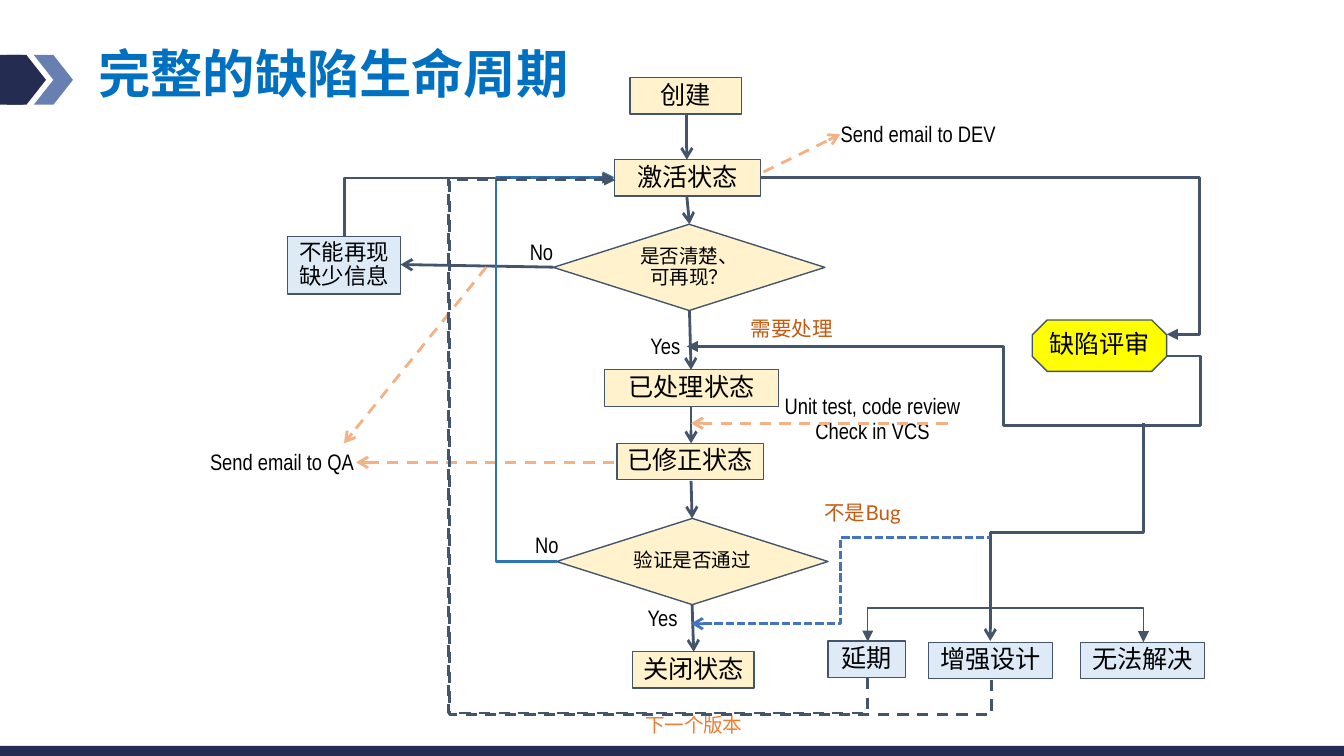
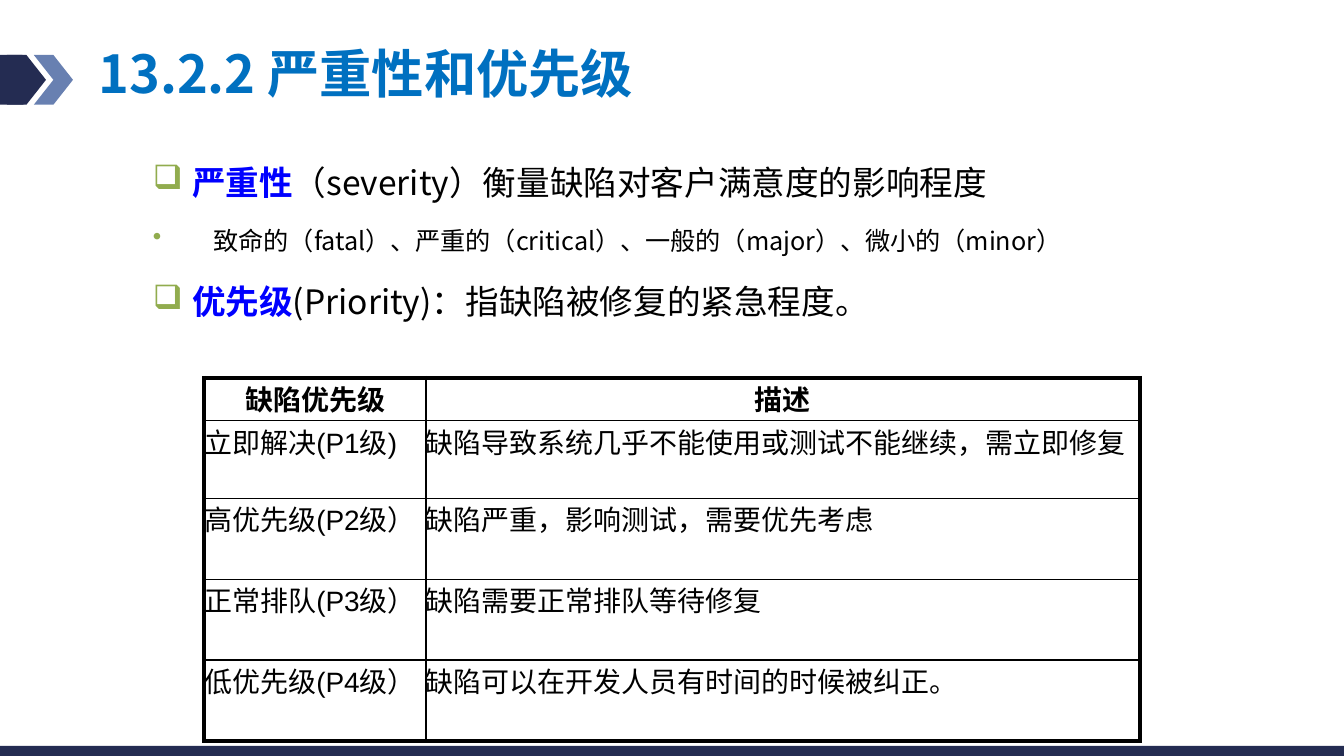
from lxml import etree
from pptx import Presentation
from pptx.dml.color import RGBColor
from pptx.enum.dml import MSO_LINE
from pptx.enum.shapes import MSO_CONNECTOR, MSO_SHAPE
from pptx.enum.text import MSO_ANCHOR, MSO_AUTO_SIZE, PP_ALIGN
from pptx.oxml.ns import qn
from pptx.util import Cm, Pt

RECTANGLE, ROUNDED = MSO_SHAPE.RECTANGLE, MSO_SHAPE.ROUNDED_RECTANGLE
CHEVRON, DIAMOND, OCTAGON = MSO_SHAPE.CHEVRON, MSO_SHAPE.DIAMOND, MSO_SHAPE.OCTAGON
STRAIGHT, ELBOW = MSO_CONNECTOR.STRAIGHT, MSO_CONNECTOR.ELBOW
DASH, SHORT_DASH = MSO_LINE.DASH, MSO_LINE.SQUARE_DOT
LEFT, CENTER = PP_ALIGN.LEFT, PP_ALIGN.CENTER
MIDDLE = MSO_ANCHOR.MIDDLE
NO_RESIZE = MSO_AUTO_SIZE.NONE

COLORS = {
    "navy": "242C52", "steel": "6880B1", "title": "0070C0", "cream": "FFF2CC",
    "ice": "DEEBF7", "yellow": "FFFF00", "slate": "44546A", "peach": "F4B183",
    "blue": "2E75B6", "royal": "4472C4", "rust": "C55A11", "orange": "ED7D31",
    "black": "000000", "keyword": "0000FF", "bullet": "91AC4E",
}
COLORS_RGB = {name: RGBColor.from_string(value) for name, value in COLORS.items()}
HAN = "Noto Sans CJK SC"


def format_span(span, size, font, color, bold=False):
    span.font.size = Pt(size)
    span.font.name = font
    span.font.bold = bold
    span.font.color.rgb = COLORS_RGB[color]
    properties = span.font._element
    east_asian = etree.Element(qn("a:ea"), typeface=HAN)
    properties.find(qn("a:latin")).addnext(east_asian)


def format_line(connector, color, width=1.5, dash=None, head=None, tail=None):
    connector.line.color.rgb = COLORS_RGB[color]
    connector.line.width = Pt(width)
    if dash:
        connector.line.dash_style = dash
    properties = connector.element.spPr
    outline = properties.find(qn("a:ln"))
    for end, kind in (("a:headEnd", head), ("a:tailEnd", tail)):
        if kind:
            etree.SubElement(outline, qn(end), type=kind)
    etree.SubElement(properties, qn("a:effectLst"))


deck = Presentation()
deck.slide_width, deck.slide_height = Cm(25.4), Cm(14.29)
layout = deck.slide_layouts[5]

titles = [("完整的缺陷生命周期", 11.99), ("13.2.2 严重性和优先级", 20.45)]
pages = []
for text, width in titles:
    page = deck.slides.add_slide(layout)
    title = page.shapes.title
    title.left, title.top, title.width, title.height = Cm(1.61), Cm(0.72), Cm(width), Cm(1.45)
    frame = title.text_frame
    frame.text = text
    frame.word_wrap = True
    frame.auto_size = NO_RESIZE
    frame.vertical_anchor = MIDDLE
    para = frame.paragraphs[0]
    para.alignment = LEFT
    para.line_spacing = 0.9
    format_span(para.runs[0], 28, HAN, "title", True)
    pages.append(page)
flow_page, priority_page = pages

decorations = [
    (ROUNDED, -0.38, 1.04, 0.89, 0.94, "navy"),
    (CHEVRON, 0.64, 1.04, 0.74, 0.94, "steel"),
    (CHEVRON, 0.13, 1.04, 0.74, 0.94, "navy"),
    (RECTANGLE, 0, 14.1, 25.4, 0.33, "navy"),
]
for kind, left, top, width, height, color in decorations:
    shape = flow_page.shapes.add_shape(kind, Cm(left), Cm(top), Cm(width), Cm(height))
    shape.shadow.inherit = False
    shape.fill.solid()
    shape.fill.fore_color.rgb = COLORS_RGB[color]
    shape.line.fill.background()
    if kind == ROUNDED:
        shape.adjustments[0] = 0.1
    layout.shapes.element.append(shape.element)

nodes = [
    (RECTANGLE, "创建", 11.91, 1.47, 2.11, 0.69, "cream", 13.5, HAN),
    (RECTANGLE, "激活状态", 11.61, 3.02, 2.77, 0.69, "cream", 13.5, HAN),
    (DIAMOND, "是否清楚、\n可再现？", 10.46, 4.24, 5.13, 1.63, "cream", 10.5, "Calibri"),
    (RECTANGLE, "已处理状态", 11.43, 6.99, 3.28, 0.69, "cream", 13.5, HAN),
    (RECTANGLE, "已修正状态", 11.66, 8.38, 2.77, 0.69, "cream", 13.5, HAN),
    (DIAMOND, "验证是否通过", 10.52, 9.8, 5.13, 1.63, "cream", 10.5, "Calibri"),
    (RECTANGLE, "关闭状态", 11.96, 12.32, 2.29, 0.69, "cream", 13.5, HAN),
    (RECTANGLE, "不能再现\n缺少信息", 5.44, 4.47, 2.13, 1.09, "ice", 12, HAN),
    (OCTAGON, "缺陷评审", 19.51, 6.05, 2.54, 0.97, "yellow", 13.5, "Calibri"),
    (RECTANGLE, "延期", 15.65, 12.12, 1.47, 0.69, "ice", 13.5, HAN),
    (RECTANGLE, "增强设计", 17.55, 12.14, 2.34, 0.69, "ice", 13.5, HAN),
    (RECTANGLE, "无法解决", 20.42, 12.14, 2.34, 0.69, "ice", 13.5, HAN),
]
labels = [
    ("Send email to DEV", 15.54, 2.24, 3.63, 0.64, 12, "Arial Narrow", "black"),
    ("Send email to QA", 3.73, 8.43, 3.2, 0.64, 12, "Arial Narrow", "black"),
    ("Unit test, code review\nCheck in VCS", 14.38, 7.39, 4.22, 1.09, 12, "Arial Narrow", "black"),
    ("No", 9.78, 4.47, 0.91, 0.64, 12, "Arial Narrow", "black"),
    ("No", 9.88, 10.01, 0.91, 0.64, 12, "Arial Narrow", "black"),
    ("Yes", 12.04, 6.25, 1.07, 0.64, 12, "Arial Narrow", "black"),
    ("Yes", 11.99, 11.38, 1.07, 0.64, 12, "Arial Narrow", "black"),
    ("需要处理", 14, 5.94, 1.93, 0.58, 11, "Lato", "rust"),
    ("不是Bug", 15.34, 9.42, 1.93, 0.58, 11, "Lato", "rust"),
    ("下一个版本", 11.91, 13.44, 2.41, 0.58, 10.5, "Lato", "orange"),
]
captions = []
for kind, text, left, top, width, height, fill, size, font in nodes:
    shape = flow_page.shapes.add_shape(kind, Cm(left), Cm(top), Cm(width), Cm(height))
    shape.shadow.inherit = False
    shape.fill.solid()
    shape.fill.fore_color.rgb = COLORS_RGB[fill]
    shape.line.color.rgb = COLORS_RGB["slate"]
    shape.line.width = Pt(0.75)
    if kind == OCTAGON:
        shape.adjustments[0] = 0.29
    captions.append((shape, text, size, font, "black", kind == RECTANGLE))
for text, left, top, width, height, size, font, color in labels:
    box = flow_page.shapes.add_textbox(Cm(left), Cm(top), Cm(width), Cm(height))
    captions.append((box, text, size, font, color, True))

for shape, text, size, font, color, wrapped in captions:
    frame = shape.text_frame
    frame.text = text
    frame.word_wrap = wrapped
    frame.auto_size = NO_RESIZE
    frame.vertical_anchor = MIDDLE
    frame.margin_left = frame.margin_right = Cm(0.15)
    frame.margin_top = frame.margin_bottom = Cm(0.08 if wrapped else 0)
    for para in frame.paragraphs:
        para.alignment = CENTER
        para.line_spacing = 0.9
        format_span(para.runs[0], size, font, color)

flow_arrows = [
    (12.98, 2.16, 12.98, 3.02), (12.98, 3.71, 13.03, 4.24),
    (13.03, 5.87, 13.06, 6.99), (13.06, 7.67, 13.06, 8.38),
    (13.06, 9.09, 13.08, 9.8), (13.08, 11.43, 13.11, 12.32),
    (10.46, 5.05, 7.57, 5),
]
note_arrows = [
    (17.91, 8, 13.06, 8), (14.43, 3.25, 15.88, 2.54),
    (9.19, 5.05, 6.5, 8.38), (11.61, 8.74, 6.73, 8.74),
]
for arrows, color, dash in ((flow_arrows, "slate", None), (note_arrows, "peach", DASH)):
    for ends in arrows:
        arrow = flow_page.shapes.add_connector(STRAIGHT, *map(Cm, ends))
        format_line(arrow, color, dash=dash, tail="arrow")

routes = [
    (14.38, 3.35, 7.67, 2.97, 0, "", 3, [1.08], "slate", 1.5, None, None, "triangle"),
    (12.98, 6.55, 9.07, 0.18, 0, "HV", 5, [-0.07, -7.33, 0.34], "slate", 1.5, None, None, "triangle"),
    (18.11, 8.61, 4.11, 2.9, 90, "", 3, [0.5], "slate", 1.5, None, None, "arrow"),
    (8.51, 1.37, 1.09, 5.08, 90, "HV", 2, [], "slate", 1.5, None, None, "triangle"),
    (10.52, 3.35, 1.09, 7.26, 180, "H", 3, [-1.05], "blue", 1.5, None, None, "triangle"),
    (9.27, 5.69, 9.45, 4.8, 90, "H", 4, [-0.07, 1.65], "slate", 1.5, DASH, None, "triangle"),
    (10.46, 4.57, 9.45, 7.11, 90, "H", 4, [-0.07, 1.44], "slate", 1.5, DASH, None, "triangle"),
    (19, 9.53, 0.01, 5.21, 270, "H", 3, [-64], "slate", 0.75, None, "triangle", "triangle"),
    (13.06, 10.16, 5.66, 1.63, 0, "V", 3, [0.5], "royal", 1.5, SHORT_DASH, "arrow", None),
]
for left, top, width, height, turn, flips, bends, bend_places, color, weight, dash, head, tail in routes:
    route = flow_page.shapes.add_connector(ELBOW, Cm(left), Cm(top), Cm(left + width), Cm(top + height))
    transform = route.element.spPr.find(qn("a:xfrm"))
    transform.set("rot", str(turn * 60000))
    for axis in flips:
        transform.set("flip" + axis, "1")
    geometry = route.element.spPr.find(qn("a:prstGeom"))
    geometry.set("prst", f"bentConnector{bends}")
    guides = geometry.find(qn("a:avLst"))
    for number, place in enumerate(bend_places, 1):
        etree.SubElement(guides, qn("a:gd"), name=f"adj{number}", fmla=f"val {round(place * 100000)}")
    format_line(route, color, weight, dash, head, tail)

points = [
    ("❑", 0.74, 18, "严重性", "（severity）衡量缺陷对客户满意度的影响程度"),
    ("•", 1.15, 13.5, "", "致命的（fatal）、严重的（critical）、一般的（major）、微小的（minor）"),
    ("❑", 0.74, 18, "优先级", "(Priority)：指缺陷被修复的紧急程度。"),
]
box = priority_page.shapes.add_textbox(Cm(2.64), Cm(2.7), Cm(19.41), Cm(3.53))
frame = box.text_frame
frame.word_wrap = True
for index, (mark, indent, size, keyword, text) in enumerate(points):
    para = frame.add_paragraph() if index else frame.paragraphs[0]
    para.line_spacing = 1.3
    para.space_before = Pt(7.5)
    properties = para._p.get_or_add_pPr()
    properties.set("marL", str(Cm(indent)))
    properties.set("indent", str(-Cm(indent)))
    bullet_color = etree.SubElement(properties, qn("a:buClr"))
    etree.SubElement(bullet_color, qn("a:srgbClr"), val=COLORS["bullet"])
    etree.SubElement(properties, qn("a:buChar"), char=mark)
    for words, color, bold in ((keyword, "keyword", True), (text, "black", False)):
        if words:
            span = para.add_run()
            span.text = words
            format_span(span, size, HAN, color, bold)

rows = [
    ("缺陷优先级", "描述"),
    ("立即解决(P1级)", "缺陷导致系统几乎不能使用或测试不能继续，需立即修复"),
    ("高优先级(P2级）", "缺陷严重，影响测试，需要优先考虑"),
    ("正常排队(P3级）", "缺陷需要正常排队等待修复"),
    ("低优先级(P4级）", "缺陷可以在开发人员有时间的时候被纠正。"),
]
row_heights = [0.81, 1.47, 1.53, 1.53, 1.53]
table = priority_page.shapes.add_table(
    len(rows), 2, Cm(3.86), Cm(7.14), Cm(17.68), Cm(sum(row_heights))).table
table.columns[0].width, table.columns[1].width = Cm(4.19), Cm(13.49)
for row_index, texts in enumerate(rows):
    table.rows[row_index].height = Cm(row_heights[row_index])
    is_header = row_index == 0
    is_last = row_index == len(rows) - 1
    for column_index, text in enumerate(texts):
        cell = table.cell(row_index, column_index)
        cell.text = text
        cell.margin_left = cell.margin_right = cell.margin_top = cell.margin_bottom = 0
        para = cell.text_frame.paragraphs[0]
        para.alignment = CENTER if is_header else LEFT
        font = HAN if is_header and column_index == 0 else "Arial"
        format_span(para.runs[0], 15, font, "black", is_header)
        properties = cell._tc.get_or_add_tcPr()
        outer_edges = {"L": column_index == 0, "R": column_index == 1, "T": is_header, "B": is_last}
        for edge, is_outer in outer_edges.items():
            border = etree.SubElement(properties, qn("a:ln" + edge), w=str(Pt(2.25 if is_outer else 1)))
            paint = etree.SubElement(border, qn("a:solidFill"))
            etree.SubElement(paint, qn("a:srgbClr"), val=COLORS["black"])
        cell.fill.background()

deck.save("out.pptx")
